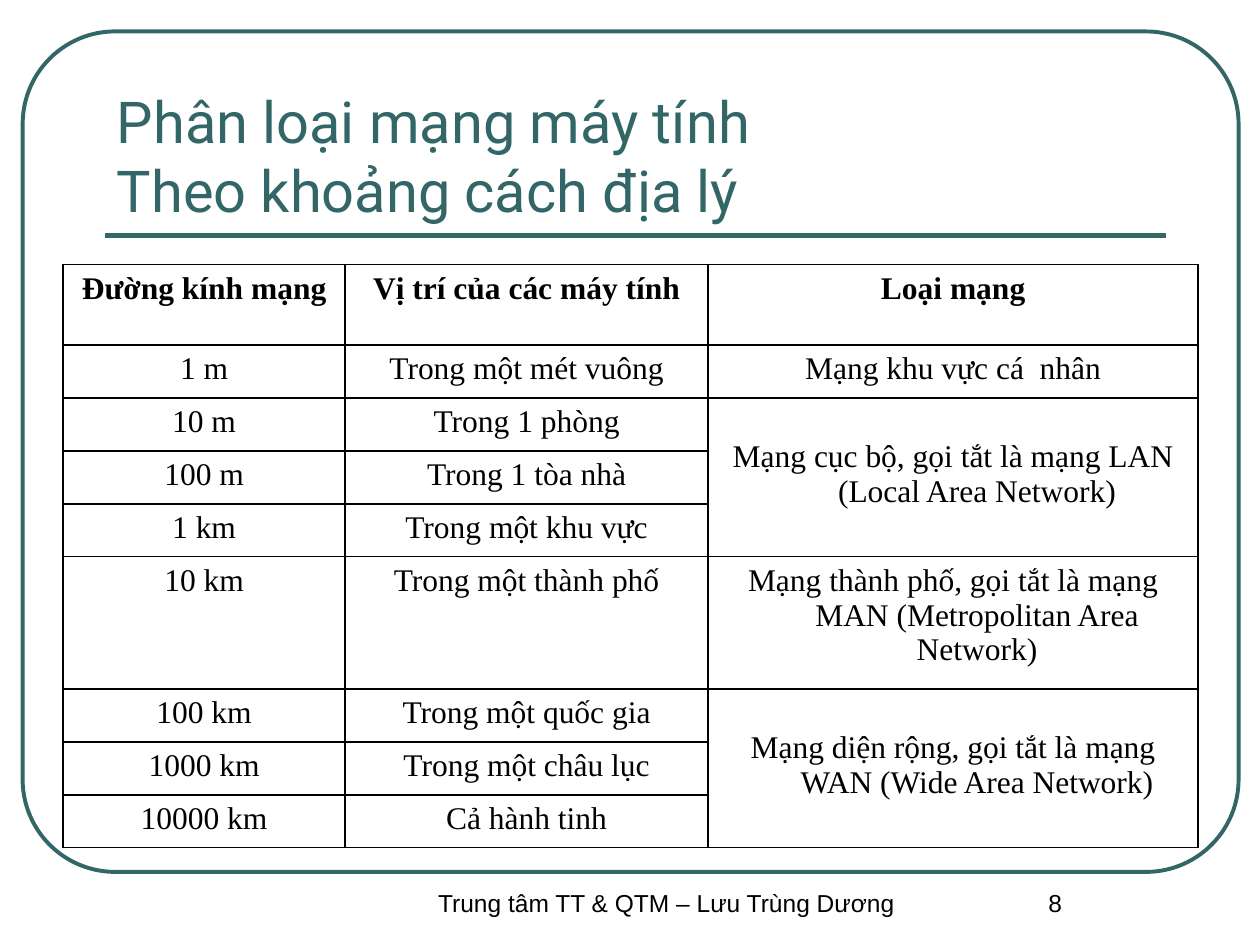
from dataclasses import dataclass

from lxml.etree import SubElement
from pptx import Presentation
from pptx.dml.color import RGBColor
from pptx.enum.shapes import MSO_CONNECTOR, MSO_SHAPE
from pptx.enum.text import MSO_ANCHOR, PP_ALIGN
from pptx.oxml.ns import qn
from pptx.util import Inches, Pt


@dataclass(frozen=True)
class Theme:
    teal: RGBColor = RGBColor(0x33, 0x66, 0x66)
    ink: RGBColor = RGBColor(0, 0, 0)
    head: str = "Roboto"
    body: str = "Times New Roman"
    foot: str = "Arial"
    head_size: int = 33
    body_size: int = 18
    foot_size: int = 14


THEME = Theme()
COLS = (2.24, 2.88, 3.89)
LOW = 0.42
HEIGHTS = (0.64, *[LOW] * 4, 1.05, *[LOW] * 3)
HANG = 0.38
DROP = 0.33  # top margin of the text in a merged cell
ROWS = (
    ("Đường kính mạng", "Vị trí của các máy tính", "Loại mạng"),
    ("1 m", "Trong một mét vuông", "Mạng khu vực cá  nhân"),
    ("10 m", "Trong 1 phòng",
     "Mạng cục bộ, gọi tắt là mạng LAN (Local Area Network)"),
    ("100 m", "Trong 1 tòa nhà"),
    ("1 km", "Trong một khu vực"),
    ("10 km", "Trong một thành phố",
     "Mạng thành phố, gọi tắt là mạng MAN (Metropolitan Area Network)"),
    ("100 km", "Trong một quốc gia",
     "Mạng diện rộng, gọi tắt là mạng WAN (Wide Area Network)"),
    ("1000 km", "Trong một châu lục"),
    ("10000 km", "Cả hành tinh"),
)
MERGED = {2: 4, 6: 8}  # first row: last row, in the last column


def write(frame, text, font, size, color=THEME.ink, bold=False,
          align=PP_ALIGN.CENTER, hang=0):
    para = frame.paragraphs[0]
    para.text = text
    para.alignment = align
    if hang:
        props = para._p.get_or_add_pPr()
        props.set("marL", str(Inches(hang)))
        props.set("indent", str(-Inches(hang)))
    for run in para.runs:
        run.font.name = font
        run.font.size = Pt(size)
        run.font.bold = bold
        run.font.color.rgb = color


def add_text(slide, box, text, anchor=MSO_ANCHOR.TOP, **form):
    frame = slide.shapes.add_textbox(*map(Inches, box)).text_frame
    frame.word_wrap = True
    frame.vertical_anchor = anchor
    write(frame, text, **form)


def add_frame(slide):
    shape = slide.shapes.add_shape(
        MSO_SHAPE.ROUNDED_RECTANGLE, *map(Inches, (0.18, 0.25, 9.65, 6.67)))
    shape.adjustments[0] = 0.11
    shape.shadow.inherit = False
    shape.fill.background()
    shape.line.color.rgb = THEME.teal
    shape.line.width = Pt(2.25)


def add_rule(slide):
    line = slide.shapes.add_connector(
        MSO_CONNECTOR.STRAIGHT, *map(Inches, (0.83, 1.87, 9.25, 1.87)))
    line.line.color.rgb = THEME.teal
    line.line.width = Pt(3)
    SubElement(line._element.spPr, qn("a:effectLst"))


def add_edges(cell):
    """Draw a thin line on all four sides; call before setting the fill."""
    props = cell._tc.get_or_add_tcPr()
    for side in ("lnL", "lnR", "lnT", "lnB"):
        edge = SubElement(props, qn(f"a:{side}"), w=str(Pt(1)))
        fill = SubElement(edge, qn("a:solidFill"))
        SubElement(fill, qn("a:srgbClr"), val=str(THEME.ink))


def add_grid(slide):
    box = (0.5, 2.1, sum(COLS), sum(HEIGHTS))
    table = slide.shapes.add_table(
        len(ROWS), len(COLS), *map(Inches, box)).table
    table.first_row = table.horz_banding = False
    for col, width in zip(table.columns, COLS):
        col.width = Inches(width)
    for row, height in zip(table.rows, HEIGHTS):
        row.height = Inches(height)
    for cell in table.iter_cells():
        add_edges(cell)
        cell.fill.background()
    last = len(COLS) - 1
    for top, end in MERGED.items():
        table.cell(top, last).merge(table.cell(end, last))
        table.cell(top, last).margin_top = Inches(DROP)
    for r, row in enumerate(ROWS):
        for c, text in enumerate(row):
            write(table.cell(r, c).text_frame, text, THEME.body,
                  THEME.body_size, bold=r == 0, hang=HANG)


def main():
    deck = Presentation()
    deck.slide_width, deck.slide_height = Inches(10), Inches(7.5)
    slide = deck.slides.add_slide(deck.slide_layouts[6])
    add_frame(slide)
    add_rule(slide)
    foot = {"font": THEME.foot, "size": THEME.foot_size}
    add_text(slide, (3.08, 7, 4.42, 0.5),
             "Trung tâm TT & QTM – Lưu Trùng Dương", **foot)
    add_text(slide, (7.5, 7, 1.75, 0.5), "8", **foot)
    add_text(slide, (0.83, 0.58, 8.42, 1.25),
             "Phân loại mạng máy tính\vTheo khoảng cách địa lý",
             anchor=MSO_ANCHOR.BOTTOM, font=THEME.head, size=THEME.head_size,
             color=THEME.teal, align=PP_ALIGN.LEFT)
    add_grid(slide)
    deck.save("out.pptx")


if __name__ == "__main__":
    main()
